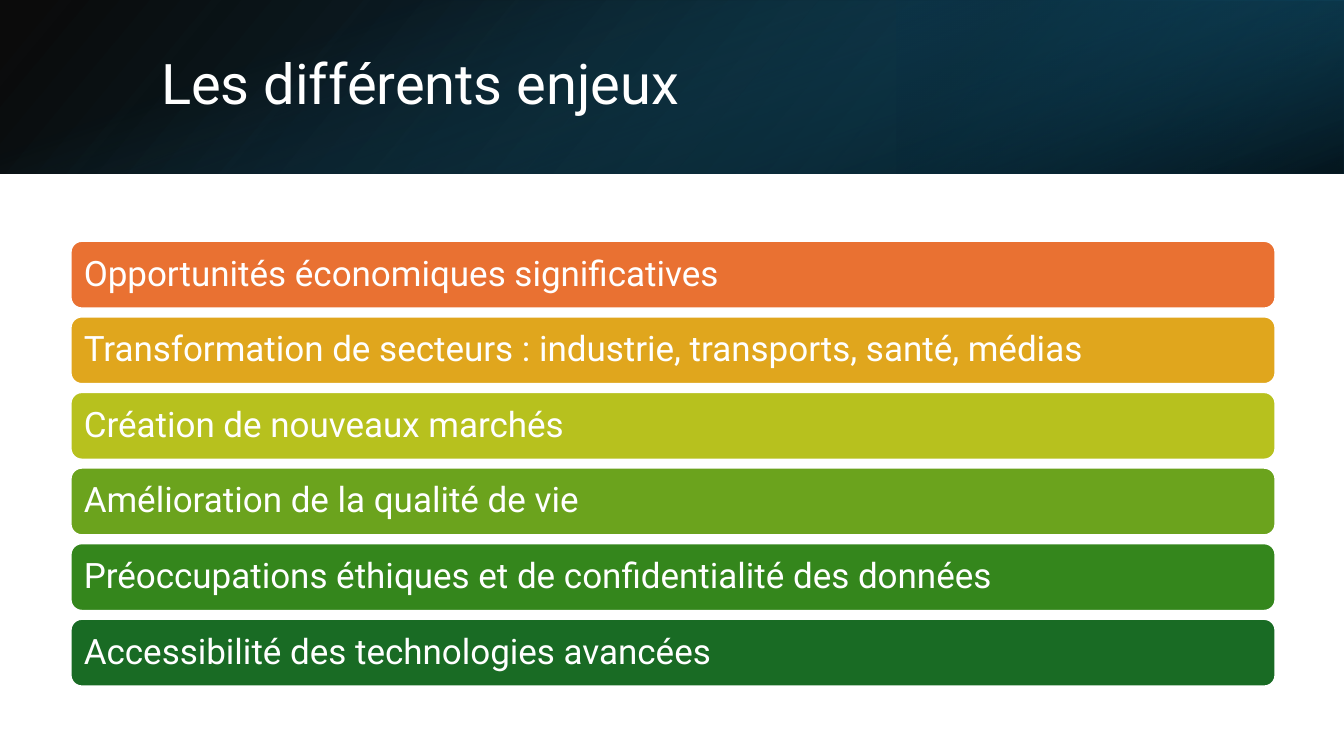
from lxml import etree
from pptx import Presentation
from pptx.dml.color import RGBColor
from pptx.enum.shapes import MSO_SHAPE
from pptx.enum.text import MSO_ANCHOR, PP_ALIGN
from pptx.oxml.ns import qn
from pptx.util import Inches, Pt

RECTANGLE = MSO_SHAPE.RECTANGLE
ROUNDED_RECTANGLE = MSO_SHAPE.ROUNDED_RECTANGLE
MIDDLE = MSO_ANCHOR.MIDDLE
LEFT = PP_ALIGN.LEFT

FONT = "Roboto"
WHITE = RGBColor(0xFF, 0xFF, 0xFF)
BLACK = RGBColor(0x00, 0x00, 0x00)
NAVY = RGBColor(0x0B, 0x30, 0x41)
DEEP_BLUE = RGBColor(0x10, 0x48, 0x62)
BLUE = RGBColor(0x15, 0x60, 0x82)
ORANGE = RGBColor(0xE9, 0x71, 0x32)
AMBER = RGBColor(0xE0, 0xA6, 0x1D)
LIME = RGBColor(0xB7, 0xC1, 0x1E)
LEAF = RGBColor(0x6B, 0xA3, 0x1D)
GREEN = RGBColor(0x34, 0x86, 0x1C)
FOREST = RGBColor(0x19, 0x6B, 0x24)

SLIDE_WIDTH = 13.33
BANNER_HEIGHT = 1.72
ROW_TOP = 2.39
ROW_PITCH = 0.75

ISSUES = [
    ("Opportunités économiques significatives", ORANGE),
    ("Transformation de secteurs : industrie, transports, santé, médias", AMBER),
    ("Création de nouveaux marchés", LIME),
    ("Amélioration de la qualité de vie", LEAF),
    ("Préoccupations éthiques et de confidentialité des données", GREEN),
    ("Accessibilité des technologies avancées", FOREST),
]


def add_gradient(shape, stops, angle):
    """Fill a shape with stops given as (position, colour, opacity), in percent."""
    gradient = etree.Element(qn("a:gradFill"), rotWithShape="1")
    stop_list = etree.SubElement(gradient, qn("a:gsLst"))
    for position, color, opacity in stops:
        stop = etree.SubElement(stop_list, qn("a:gs"), pos=str(position * 1000))
        rgb = etree.SubElement(stop, qn("a:srgbClr"), val=str(color))
        etree.SubElement(rgb, qn("a:alpha"), val=str(opacity * 1000))
    etree.SubElement(gradient, qn("a:lin"), ang=str(angle * 60000), scaled="0")
    shape._element.spPr.find(qn("a:prstGeom")).addnext(gradient)


def add_banner_layer(slide, box, stops, angle, rotation=0, flipped=False):
    """Add one gradient rectangle of the title banner."""
    shape = slide.shapes.add_shape(RECTANGLE, *map(Inches, box))
    shape.shadow.inherit = False
    shape.line.fill.background()
    shape.rotation = rotation
    if flipped:
        shape._element.spPr.find(qn("a:xfrm")).set("flipH", "1")
    add_gradient(shape, stops, angle)


def write_text(shape, text, size):
    """Write one white line, left-aligned and vertically centred."""
    frame = shape.text_frame
    frame.word_wrap = True
    frame.vertical_anchor = MIDDLE
    paragraph = frame.paragraphs[0]
    paragraph.alignment = LEFT
    paragraph.line_spacing = 0.9
    run = paragraph.add_run()
    run.text = text
    run.font.name = FONT
    run.font.size = Pt(size)
    run.font.color.rgb = WHITE


def add_title(slide, text):
    """Add the slide title over the banner."""
    box = slide.shapes.add_textbox(Inches(1.5), Inches(0.38), Inches(10.98), Inches(0.96))
    write_text(box, text, 40)


def add_issue(slide, top, text, color):
    """Add one coloured bar with its text."""
    bar = slide.shapes.add_shape(
        ROUNDED_RECTANGLE, Inches(0.7), Inches(top), Inches(11.95), Inches(0.67)
    )
    bar.shadow.inherit = False
    bar.fill.solid()
    bar.fill.fore_color.rgb = color
    bar.line.color.rgb = WHITE
    bar.line.width = Pt(1.5)
    frame = bar.text_frame
    frame.margin_left = frame.margin_right = Inches(0.1)
    frame.margin_top = frame.margin_bottom = Inches(0.1)
    write_text(bar, text, 25)


def main():
    """Build the slide and save it."""
    presentation = Presentation()
    presentation.slide_width = Inches(SLIDE_WIDTH)
    presentation.slide_height = Inches(7.5)
    slide = presentation.slides.add_slide(presentation.slide_layouts[6])

    add_banner_layer(slide, (0, 0, SLIDE_WIDTH, BANNER_HEIGHT),
                     [(0, BLACK, 96), (100, DEEP_BLUE, 100)], 140, flipped=True)
    add_banner_layer(slide, (8.89, 0, 4.44, BANNER_HEIGHT),
                     [(19, NAVY, 68), (100, BLUE, 79)], 320, rotation=180, flipped=True)
    add_banner_layer(slide, (5.8, -5.8, BANNER_HEIGHT, SLIDE_WIDTH),
                     [(23, BLUE, 0), (99, BLACK, 74)], 340, rotation=90)
    add_title(slide, "Les différents enjeux")

    for index, (text, color) in enumerate(ISSUES):
        add_issue(slide, ROW_TOP + index * ROW_PITCH, text, color)

    presentation.save("out.pptx")


if __name__ == "__main__":
    main()
